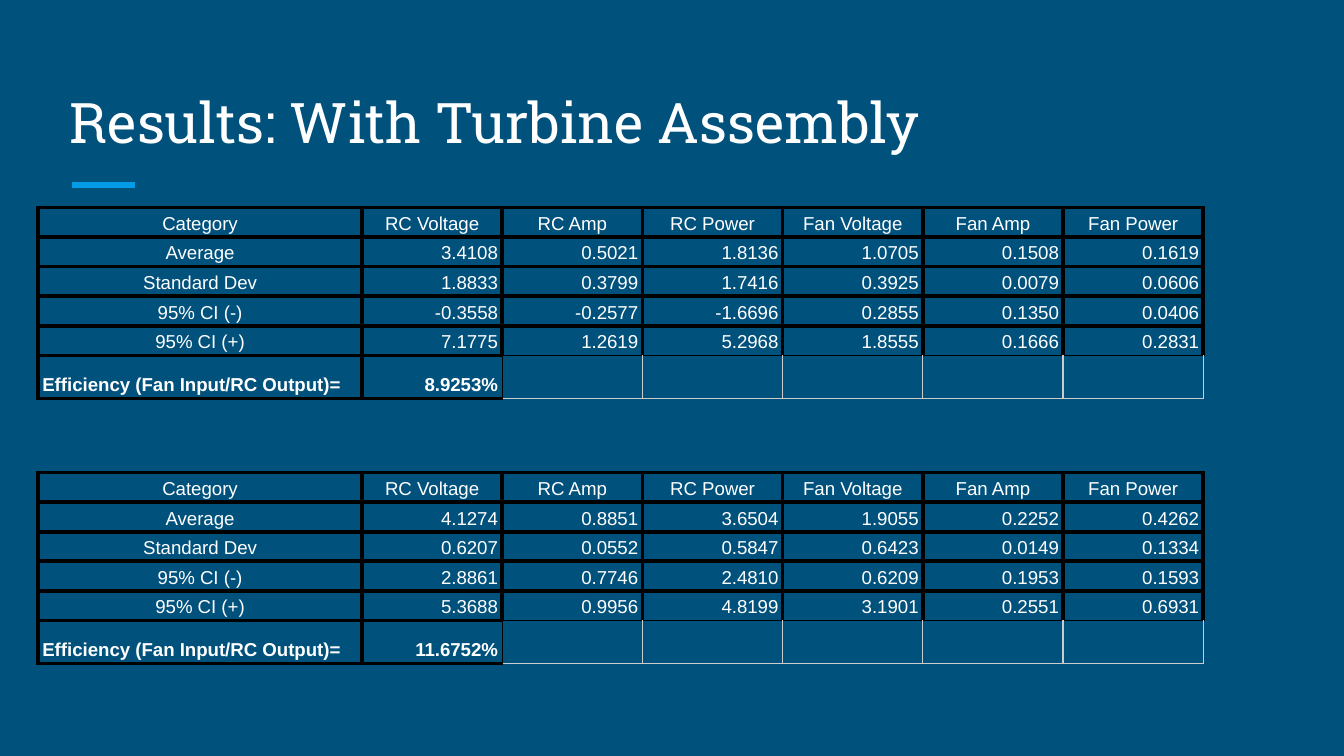
from lxml import etree
from pptx import Presentation
from pptx.dml.color import RGBColor
from pptx.enum.shapes import MSO_CONNECTOR
from pptx.enum.text import MSO_ANCHOR, PP_ALIGN
from pptx.oxml.ns import qn
from pptx.util import Cm, Pt

STRAIGHT = MSO_CONNECTOR.STRAIGHT
BOTTOM = MSO_ANCHOR.BOTTOM
LEFT, CENTER, RIGHT = PP_ALIGN.LEFT, PP_ALIGN.CENTER, PP_ALIGN.RIGHT

BACKGROUND, ACCENT, WHITE = "00517C", "039BE5", "FFFFFF"
THICK, THIN, PALE = ("000000", 2.25), ("000000", 0.75), ("CCCCCC", 0.75)

HEADERS = ["Category", "RC Voltage", "RC Amp", "RC Power",
           "Fan Voltage", "Fan Amp", "Fan Power"]
LABELS = ["Average", "Standard Dev", "95% CI (-)", "95% CI (+)"]
EFFICIENCY_LABEL = "Efficiency (Fan Input/RC Output)="
COL_WIDTHS = [6.12] + [2.65] * 6
ROW_HEIGHTS = [0.56] * 5 + [0.81]

FIRST_RUN = [
    ["3.4108", "0.5021", "1.8136", "1.0705", "0.1508", "0.1619"],
    ["1.8833", "0.3799", "1.7416", "0.3925", "0.0079", "0.0606"],
    ["-0.3558", "-0.2577", "-1.6696", "0.2855", "0.1350", "0.0406"],
    ["7.1775", "1.2619", "5.2968", "1.8555", "0.1666", "0.2831"],
]
SECOND_RUN = [
    ["4.1274", "0.8851", "3.6504", "1.9055", "0.2252", "0.4262"],
    ["0.6207", "0.0552", "0.5847", "0.6423", "0.0149", "0.1334"],
    ["2.8861", "0.7746", "2.4810", "0.6209", "0.1953", "0.1593"],
    ["5.3688", "0.9956", "4.8199", "3.1901", "0.2551", "0.6931"],
]


def rgb(value):
    return RGBColor.from_string(value)


def set_font(p, name, size, bold=False):
    p.font.name = name
    p.font.size = Pt(size)
    p.font.bold = bold
    p.font.color.rgb = rgb(WHITE)


def add_title(s, text):
    sp = s.shapes.title
    sp.left, sp.top, sp.width, sp.height = Cm(1.07), Cm(1.27), Cm(23.24), Cm(1.9)
    tf = sp.text_frame
    tf.text = text
    tf.vertical_anchor = BOTTOM
    tf.margin_left = tf.margin_right = tf.margin_top = tf.margin_bottom = Cm(0.25)
    p = tf.paragraphs[0]
    p.alignment = LEFT
    set_font(p, "Roboto Slab", 30)


def add_accent_line(s):
    line = s.shapes.add_connector(STRAIGHT, Cm(1.36), Cm(3.5), Cm(2.55), Cm(3.5))
    line.line.color.rgb = rgb(ACCENT)
    line.line.width = Pt(3)
    etree.SubElement(line._element.spPr, qn("a:effectLst"))


def set_borders(cell, borders):
    tc_pr = cell._tc.get_or_add_tcPr()
    for side, (color, width) in zip("LRTB", borders):
        ln = etree.SubElement(tc_pr, qn(f"a:ln{side}"), w=str(Pt(width)))
        fill = etree.SubElement(ln, qn("a:solidFill"))
        etree.SubElement(fill, qn("a:srgbClr"), val=color)


def borders_at(row, col):
    if row == 5 and col > 1:
        return (THIN if col == 2 else PALE), PALE, THIN, PALE
    if row == 5 and col == 1:
        return THICK, THIN, THICK, THICK
    if row == 4 and col > 1:
        return THICK, THICK, THICK, THIN
    return (THICK,) * 4


def fill_cell(cell, text, row, col):
    cell.text = text
    cell.vertical_anchor = BOTTOM
    cell.margin_left = cell.margin_right = Cm(0.08)
    cell.margin_top = cell.margin_bottom = Cm(0.05)
    p = cell.text_frame.paragraphs[0]
    p.line_spacing = 1.15
    if row == 0 or (col == 0 and row < 5):
        p.alignment = CENTER
    else:
        p.alignment = RIGHT if col else LEFT
    set_font(p, "Arial", 10, bold=row == 5)
    set_borders(cell, borders_at(row, col))
    cell.fill.background()


def add_results_table(s, top, values, efficiency):
    rows = [HEADERS]
    rows += [[label] + line for label, line in zip(LABELS, values)]
    rows.append([EFFICIENCY_LABEL, efficiency] + [""] * 5)
    table = s.shapes.add_table(
        len(rows), len(HEADERS), Cm(0.72), Cm(top),
        Cm(sum(COL_WIDTHS)), Cm(sum(ROW_HEIGHTS))).table
    table.first_row = table.horz_banding = False
    for column, width in zip(table.columns, COL_WIDTHS):
        column.width = Cm(width)
    for table_row, height in zip(table.rows, ROW_HEIGHTS):
        table_row.height = Cm(height)
    for r, line in enumerate(rows):
        for c, text in enumerate(line):
            fill_cell(table.cell(r, c), text, r, c)


def main():
    prs = Presentation()
    prs.slide_width, prs.slide_height = Cm(25.4), Cm(14.29)
    s = prs.slides.add_slide(prs.slide_layouts[5])
    s.background.fill.solid()
    s.background.fill.fore_color.rgb = rgb(BACKGROUND)
    add_accent_line(s)
    add_title(s, "Results: With Turbine Assembly")
    add_results_table(s, 3.92, FIRST_RUN, "8.9253%")
    add_results_table(s, 8.93, SECOND_RUN, "11.6752%")
    prs.save("out.pptx")


if __name__ == "__main__":
    main()
